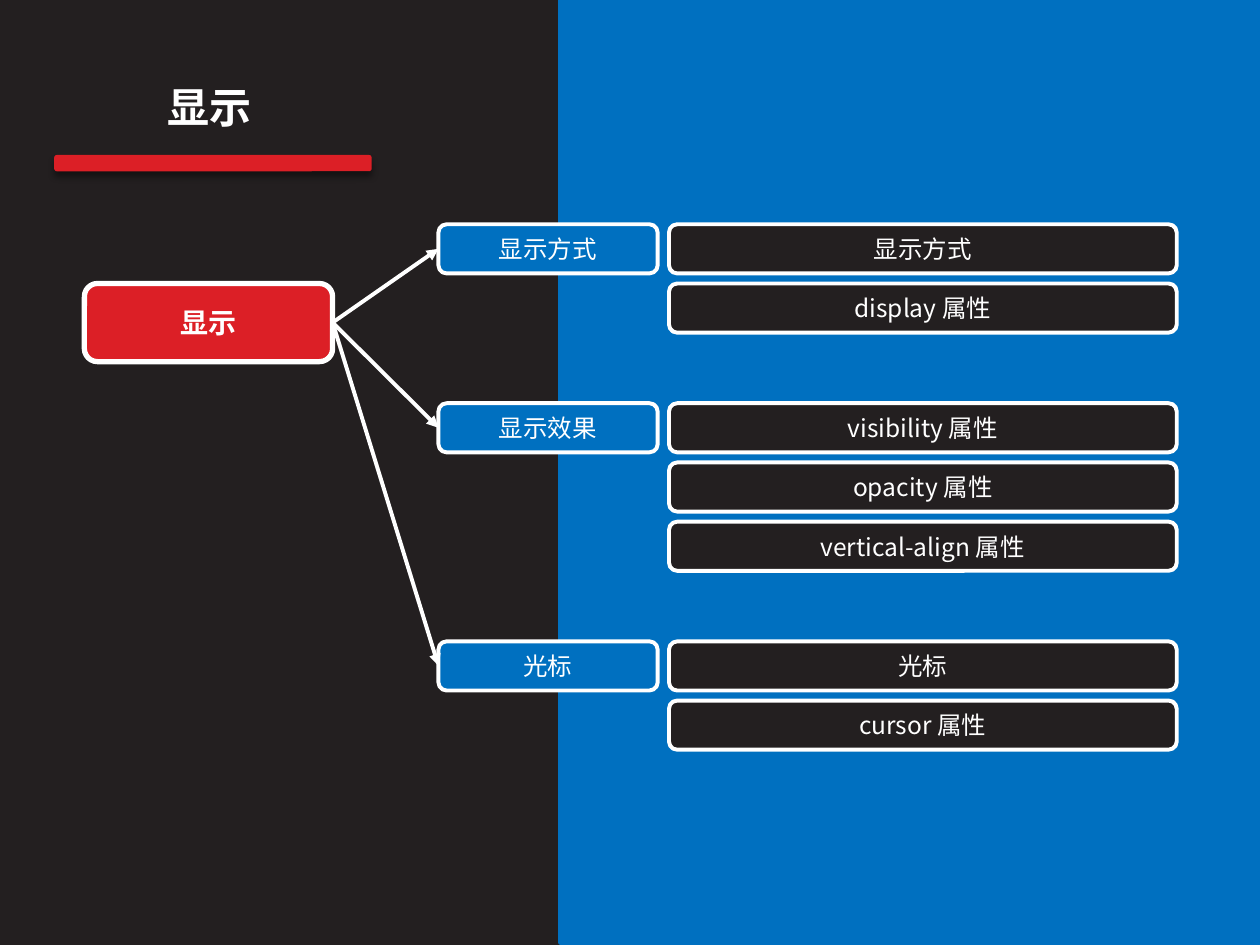
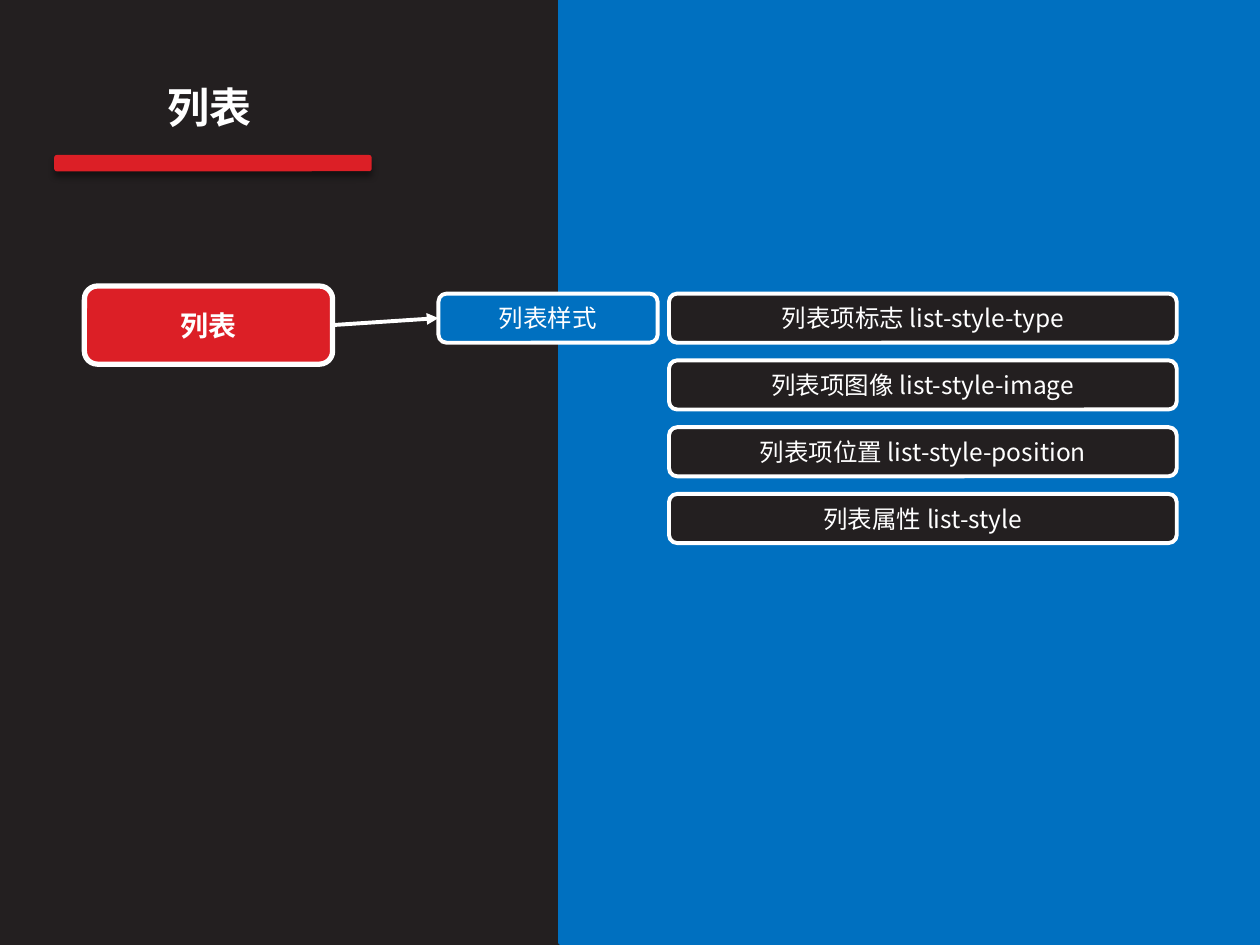
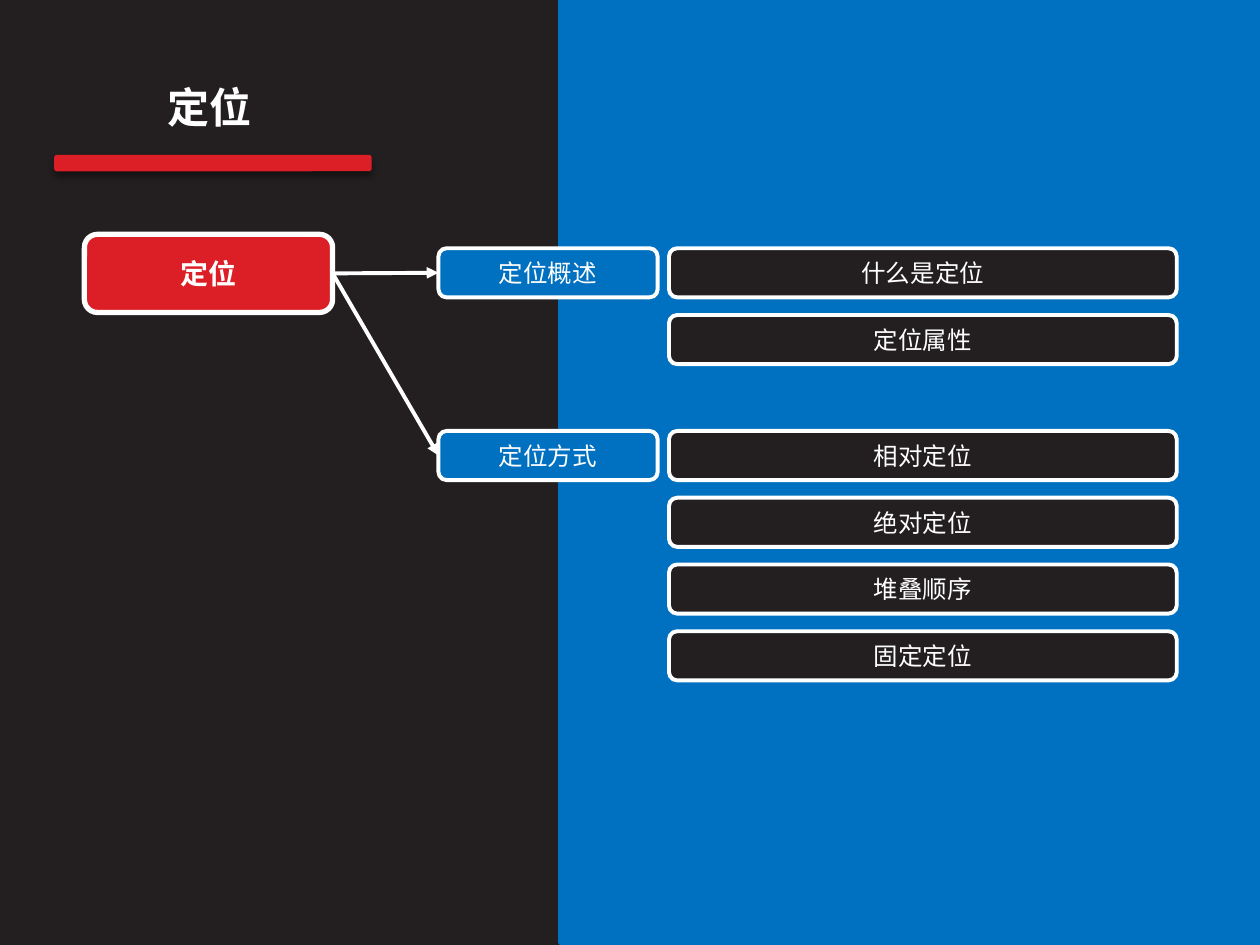
from lxml import etree
from pptx import Presentation
from pptx.dml.color import RGBColor
from pptx.enum import shapes, text
from pptx.oxml import ns
from pptx.util import Inches, Pt

BLUE, RED, DARK, WHITE = "0070C0", "DC1F26", "231F20", "FFFFFF"
FONT = "Noto Sans CJK SC"
RIGHT_SIDE, LEFT_SIDE = 3, 1

TOPICS = [
    {"title": "显示", "root_top": 2.25, "step": 0.47, "branches": [
        ("显示方式", 1.78, ["显示方式", "display 属性"]),
        ("显示效果", 3.2, ["visibility 属性", "opacity 属性", "vertical-align 属性"]),
        ("光标", 5.09, ["光标", "cursor 属性"]),
    ]},
    {"title": "列表", "root_top": 2.27, "step": 0.53, "branches": [
        ("列表样式", 2.33, ["列表项标志 list-style-type", "列表项图像 list-style-image",
                        "列表项位置 list-style-position", "列表属性 list-style"]),
    ]},
    {"title": "定位", "root_top": 1.86, "step": 0.53, "branches": [
        ("定位概述", 1.97, ["什么是定位", "定位属性"]),
        ("定位方式", 3.42, ["相对定位", "绝对定位", "堆叠顺序", "固定定位"]),
    ]},
]


def color(value):
    return RGBColor.from_string(value)


def add_xml(parent, tag, **attributes):
    return etree.SubElement(parent, ns.qn(tag), attributes)


class MindMap:
    def __init__(self):
        self.deck = Presentation()
        self.deck.slide_width, self.deck.slide_height = Inches(10), Inches(7.5)
        self.paint(self.deck.slide_master.background, DARK)
        self.page = None

    def paint(self, target, value):
        target.fill.solid()
        target.fill.fore_color.rgb = color(value)

    def outline(self, line, value, width):
        line.color.rgb = color(value)
        line.width = Pt(width)

    def label(self, frame, words, size, bold=False):
        frame.word_wrap = True
        para = frame.paragraphs[0]
        para.alignment = text.PP_ALIGN.CENTER
        span = para.add_run()
        span.text = words
        for name, value in {"name": FONT, "size": Pt(size), "bold": bold}.items():
            setattr(span.font, name, value)
        span.font.color.rgb = color(WHITE)
        add_xml(span.font._element, "a:ea", typeface=FONT)

    def shape(self, parent, kind, place, fill):
        box = parent.add_shape(kind, *map(Inches, place))
        box.shadow.inherit = False
        self.paint(box, fill)
        return box

    def node(self, words, place, fill, size=14, width=2.25, bold=False):
        box = self.shape(self.page.shapes, shapes.MSO_SHAPE.ROUNDED_RECTANGLE, place, fill)
        self.outline(box.line, WHITE, width)
        box.text_frame.vertical_anchor = text.MSO_ANCHOR.MIDDLE
        self.label(box.text_frame, words, size, bold)
        return box

    def arrow(self, start, end):
        link = self.page.shapes.add_connector(shapes.MSO_CONNECTOR.STRAIGHT, 0, 0, 0, 0)
        link.begin_connect(start, RIGHT_SIDE)
        link.end_connect(end, LEFT_SIDE)
        self.outline(link.line, WHITE, 2.25)
        properties = link._element.spPr
        add_xml(properties.find(ns.qn("a:ln")), "a:tailEnd", type="triangle")
        add_xml(properties, "a:effectLst")

    def panel(self):
        box = self.shape(self.page.shapes, shapes.MSO_SHAPE.RECTANGLE, (4.45, 0, 5.55, 7.48), BLUE)
        self.outline(box.line, BLUE, 3)

    def heading(self, words):
        group = self.page.shapes.add_group_shape().shapes
        box = group.add_textbox(*map(Inches, (0.28, 0.6, 2.77, 0.71)))
        self.label(box.text_frame, words, 24, True)
        bar = self.shape(group, shapes.MSO_SHAPE.ROUNDED_RECTANGLE, (0.43, 1.23, 2.52, 0.13), RED)
        bar.line.fill.background()
        effects = bar._element.spPr.find(ns.qn("a:effectLst"))
        shadow = add_xml(effects, "a:outerShdw", blurRad=str(Pt(4)), dist=str(Pt(3)),
                         dir="5400000", rotWithShape="0")
        shade = add_xml(shadow, "a:srgbClr", val="000000")
        add_xml(shade, "a:alpha", val="43000")

    def topic(self, title, root_top, step, branches):
        self.page = self.deck.slides.add_slide(self.deck.slide_layouts[6])
        self.panel()
        self.heading(title)
        root = self.node(title, (0.67, root_top, 1.97, 0.62), RED, 16, 3, True)
        for name, top, leaves in branches:
            branch = self.node(name, (3.48, top, 1.74, 0.39), BLUE)
            self.arrow(root, branch)
            for row, leaf in enumerate(leaves):
                self.node(leaf, (5.31, top + row * step, 4.03, 0.39), DARK)


def main():
    mind_map = MindMap()
    for topic in TOPICS:
        mind_map.topic(**topic)
    mind_map.deck.save("out.pptx")


if __name__ == "__main__":
    main()
